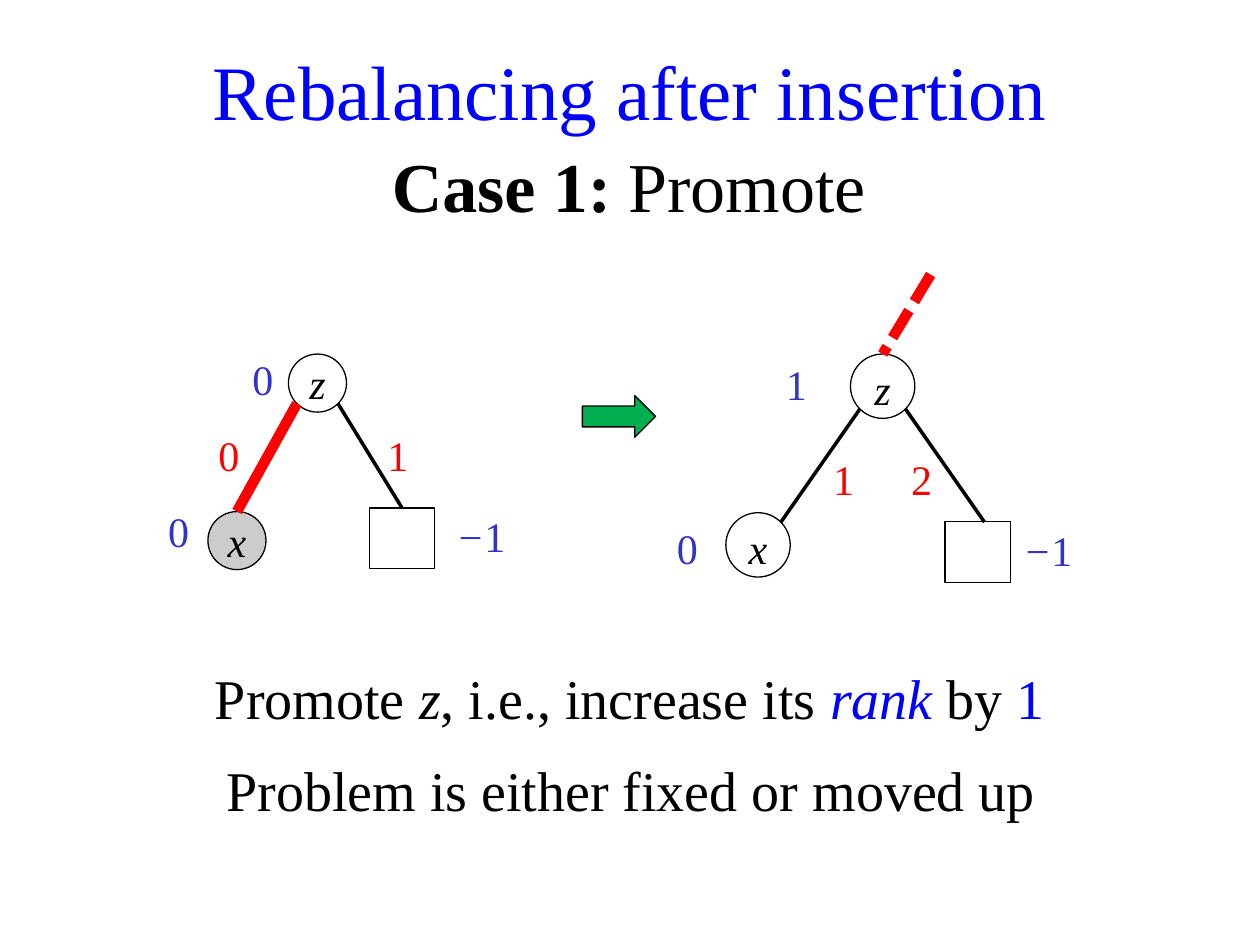
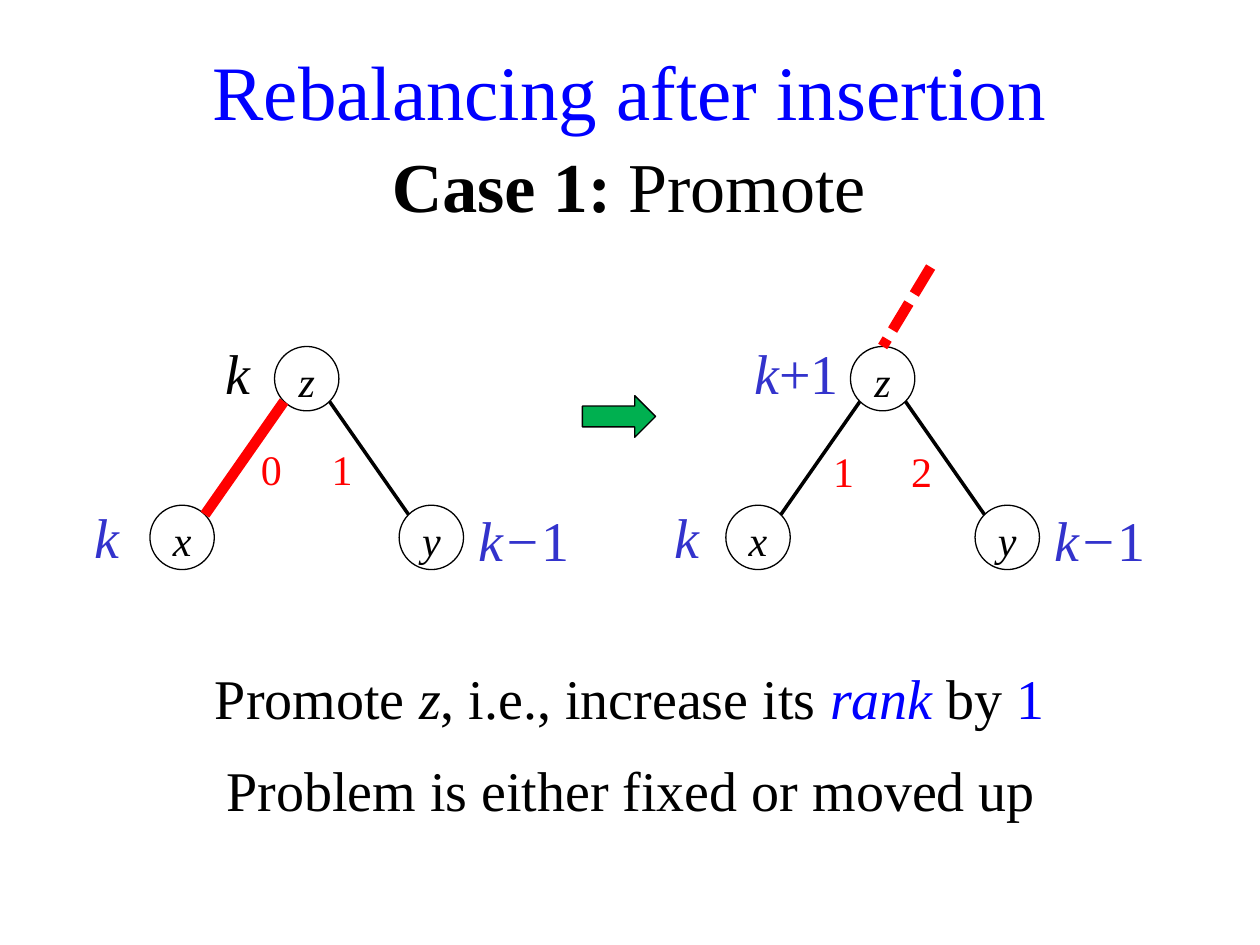
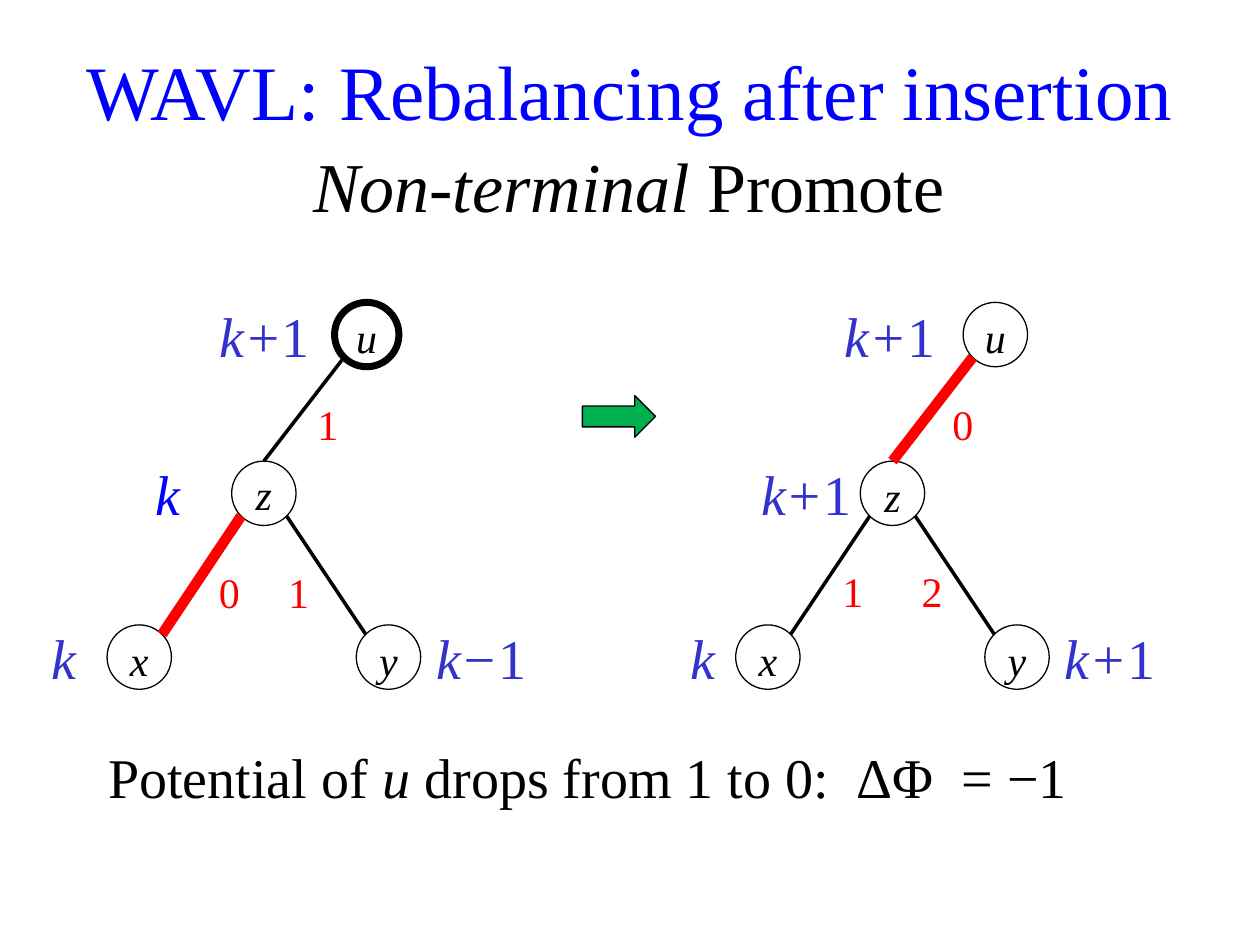
from itertools import groupby
from math import sqrt

from lxml import etree
from pptx import Presentation
from pptx.dml import color as c
from pptx.enum import dml, shapes, text
from pptx.oxml import ns
from pptx.util import Pt

COLORS = {"ink": "000000", "blue": "0000FF", "rank": "3333CC",
          "red": "FF0000", "green": "00B050", "gray": "CCCCCC"}
FONT = "Times New Roman"
RADIUS = 18.4          # node circle
SPREAD = 71.2          # sideways step from a parent to its children
SQUARE = (37.4, 34.6)  # external leaf
DIGITS = "0123456789"
ITALIC = {"italic": True}
TOP, MIDDLE = text.MSO_ANCHOR.TOP, text.MSO_ANCHOR.MIDDLE


def rgb(name):
    return c.RGBColor.from_string(COLORS[name])


def corner(cx, cy, sx, sy, radius=RADIUS):
    """Point on a circle at 45 degrees, towards the signs sx and sy."""
    d = radius / sqrt(2)
    return cx + sx * d, cy + sy * d


class Deck:
    def __init__(self):
        self.prs = Presentation()
        self.prs.slide_width, self.prs.slide_height = Pt(720), Pt(540)

    def new_slide(self, title, subtitle):
        self.s = self.prs.slides.add_slide(self.prs.slide_layouts[6])
        self.text([(title, {"color": "blue"})], 0, 21.6, 720, 73.4, 44)
        self.text(subtitle, -0.7, 77.8, 720, 55.4, 40)
        self.shape(shapes.MSO_SHAPE.RIGHT_ARROW, 332.8, 226.1, 41.8, 23.8, "green")

    def add_runs(self, tf, runs, size, color="ink"):
        p = tf.paragraphs[0]
        p.alignment = text.PP_ALIGN.CENTER
        for words, fmt in runs:
            r = p.add_run()
            r.text = words
            style = {"name": FONT, "size": Pt(size), **fmt}
            r.font.color.rgb = rgb(style.pop("color", color))
            for key, value in style.items():
                setattr(r.font, key, value)

    def text(self, runs, x, y, w, h, size, color="ink"):
        tf = self.s.shapes.add_textbox(Pt(x), Pt(y), Pt(w), Pt(h)).text_frame
        tf.word_wrap = True
        self.add_runs(tf, runs, size, color)

    def label(self, words, cx, y, size=32, color="rank", upright=DIGITS):
        """Formula centred on cx, with variables in italics."""
        runs = [("".join(part), {"italic": slanted})
                for slanted, part in groupby(words, lambda ch: ch not in upright)]
        w = 46 if len(words) < 3 else 78
        self.text(runs, cx - w / 2, y, w, 1.2 * size + 7.2, size, color)

    def weight(self, words, cx, y):
        self.label(words, cx, y, 24, "red")

    def shape(self, kind, x, y, w, h, fill=None, line=0.75):
        sp = self.s.shapes.add_shape(kind, Pt(x), Pt(y), Pt(w), Pt(h))
        sp.shadow.inherit = False
        if fill:
            sp.fill.solid()
            sp.fill.fore_color.rgb = rgb(fill)
        else:
            sp.fill.background()
        sp.line.color.rgb = rgb("ink")
        sp.line.width = Pt(line)
        return sp

    def node(self, name, cx, cy, radius=RADIUS, fill=None, line=0.75, anchor=TOP):
        sp = self.shape(shapes.MSO_SHAPE.OVAL, cx - radius, cy - radius,
                        2 * radius, 2 * radius, fill, line)
        tf = sp.text_frame
        margins = dict.fromkeys(("margin_left", "margin_top", "margin_right",
                                 "margin_bottom"), 0)
        for key, value in {**margins, "vertical_anchor": anchor}.items():
            setattr(tf, key, value)
        self.add_runs(tf, [(name, ITALIC)], 24)
        return sp

    def leaf(self, x, y):
        return self.shape(shapes.MSO_SHAPE.RECTANGLE, x, y, *SQUARE)

    def edge(self, start, end, heavy=False, dashed=False):
        """Line from a point to a point, or to the top of a shape."""
        point = end if isinstance(end, tuple) else start
        cn = self.s.shapes.add_connector(shapes.MSO_CONNECTOR.STRAIGHT,
                                         *map(Pt, start + point))
        if point is not end:
            cn.end_connect(end, 0)
        cn.line.color.rgb = rgb("red" if heavy else "ink")
        cn.line.width = Pt(6 if heavy else 2)
        if dashed:
            cn.line.dash_style = dml.MSO_LINE.SQUARE_DOT
        etree.SubElement(cn._element.spPr, ns.qn("a:effectLst"))

    def tree(self, cx, cy, drop, weights, gap, weight_y, heavy=False,
             leaf=None, anchor=TOP):
        """Node z over x and y (or over a leaf); returns z."""
        z = self.node("z", cx, cy, anchor=anchor)
        low = cy + drop
        self.node("x", cx - SPREAD, low)
        if leaf:
            self.leaf(*leaf)
        else:
            self.node("y", cx + SPREAD, low)
        for side, words in zip((-1, 1), weights):
            self.edge(corner(cx, cy, side, 1),
                      corner(cx + side * SPREAD, low, -side, -1),
                      heavy=heavy and side < 0)
            self.weight(words, cx + side * gap, weight_y)
        return z

    def moved_up(self, z, cx, cy):
        self.edge((cx + 27.4, cy - RADIUS - 45.4), z, heavy=True, dashed=True)

    def parent(self, z, cx, cy, words, weight_x, line=0.75, heavy=False):
        ux, uy = cx + 58.8, cy - 90.7
        self.node("u", ux, uy, line=line)
        self.edge(corner(ux, uy, -1, 1), z, heavy)
        self.weight(words, weight_x, 223.9)

    def promote_note(self):
        blue = {"color": "blue"}
        self.text([("Promote ", {}), ("z", ITALIC), (", i.e., increase its ", {}),
                   ("rank", {**ITALIC, **blue}), (" by ", {}), ("1", blue)],
                  0, 375.8, 720, 46.1, 32)
        self.text([("Problem is either fixed or moved up", {})],
                  0.7, 428.4, 720, 46.1, 32)


def build():
    deck = Deck()
    title = "Rebalancing after insertion"
    case_1 = [("Case 1:", {"bold": True}), (" Promote", {})]

    # Slide 1: promote over an external leaf
    deck.new_slide(title, case_1)
    zx, zy, small = 181.4, 218.9, 16.6
    deck.node("z", zx, zy, small, anchor=MIDDLE)
    x = deck.node("x", 135.4, 308.9, small, "gray", anchor=MIDDLE)
    leaf = deck.leaf(211, 290.2)
    deck.edge(corner(zx, zy, -1, 1, small), x, heavy=True)
    deck.edge(corner(zx, zy, 1, 1, small), leaf)
    deck.weight("0", 130.8, 241.9)
    deck.weight("1", 227.3, 241.9)
    zx, zy = 504.4, 220.7
    z = deck.tree(zx, zy, 90.7, "12", 22.3, 255.6, leaf=(540, 298.1))
    deck.moved_up(z, zx, zy)
    for words, cx, y in (("0", 150.2, 198.7), ("0", 102, 285.1), ("−1", 274.7, 288),
                         ("1", 455.1, 201.5), ("0", 392.8, 295.1),
                         ("−1", 598.7, 295.9)):
        deck.label(words, cx, y, 24)
    deck.promote_note()

    # Slide 2: promote in general
    deck.new_slide(title, case_1)
    zy = 216.4
    deck.tree(175.3, zy, 90.7, "01", 20.2, 249.8, heavy=True)
    z = deck.tree(zx, zy, 90.7, "12", 22.3, 251.3)
    deck.moved_up(z, zx, zy)
    deck.label("k", 135.8, 190.1, color="ink")
    deck.label("k+1", 455.1, 190.1, upright="+1")
    for kx, yx in ((60.9, 299.6), (392.8, 628.6)):
        deck.label("k", kx, 283.7)
        deck.label("k−1", yx, 285.1)
    deck.promote_note()

    # Slide 3: non-terminal promote, with the parent u
    deck.new_slide("WAVL: " + title, [("Non-terminal", ITALIC), (" Promote", {})])
    zy, drop = 281.9, 93.6
    z = deck.tree(150.8, zy, drop, "01", 19.8, 320.4, heavy=True, anchor=MIDDLE)
    deck.parent(z, 150.8, zy, "1", 187.3, line=4)
    z = deck.tree(510, zy, drop, "12", 22.6, 319.7)
    deck.parent(z, 510, zy, "0", 550.2, heavy=True)
    deck.label("k", 96.2, 259.2, color="blue")
    for words, cx, y in (("k+1", 151.2, 168.5), ("k", 36.4, 352.8),
                         ("k−1", 275.1, 352.8), ("k+1", 508.4, 168.5),
                         ("k+1", 460.8, 259.2), ("k", 401.4, 352.8),
                         ("k+1", 634.4, 352.8)):
        deck.label(words, cx, y)
    deck.text([("Potential of ", {}), ("u", ITALIC),
               (" drops from 1 to 0:  ΔΦ  = −1", {})], 0, 420.5, 672, 46.1, 32)

    deck.prs.save("out.pptx")


if __name__ == "__main__":
    build()
